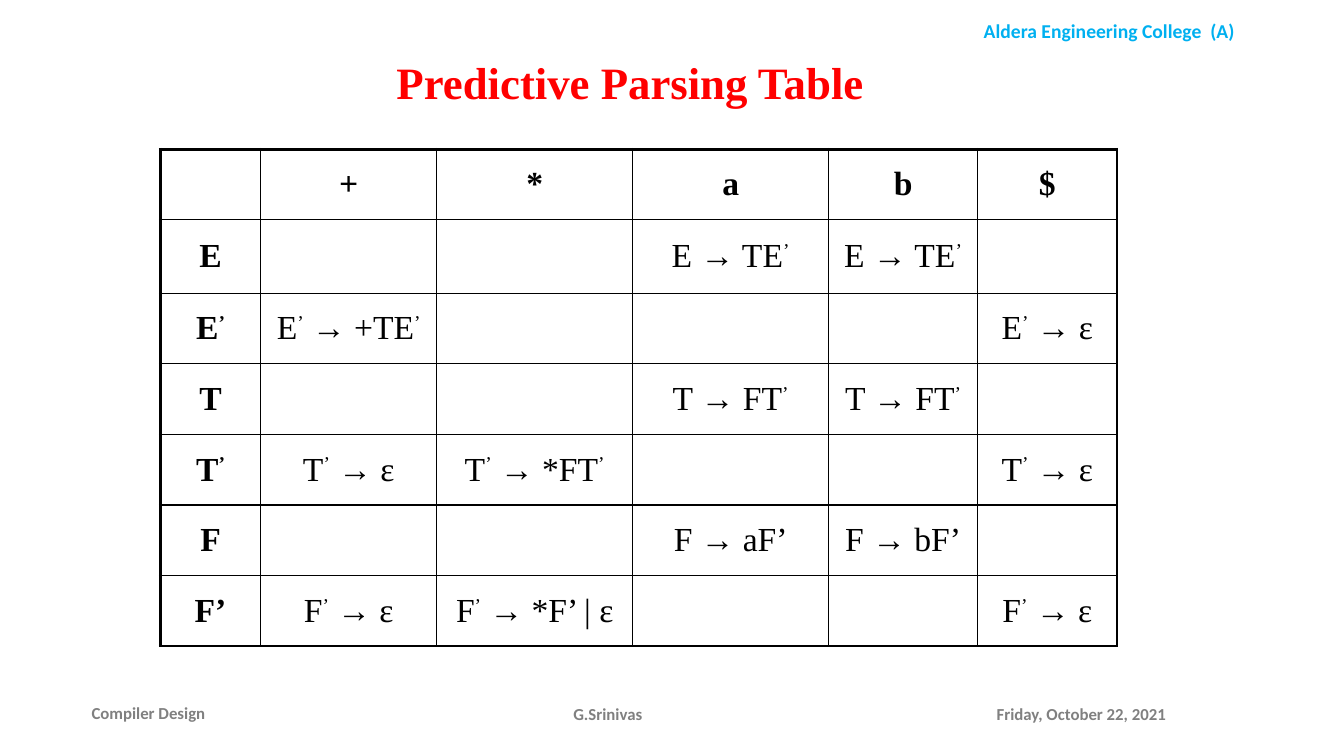
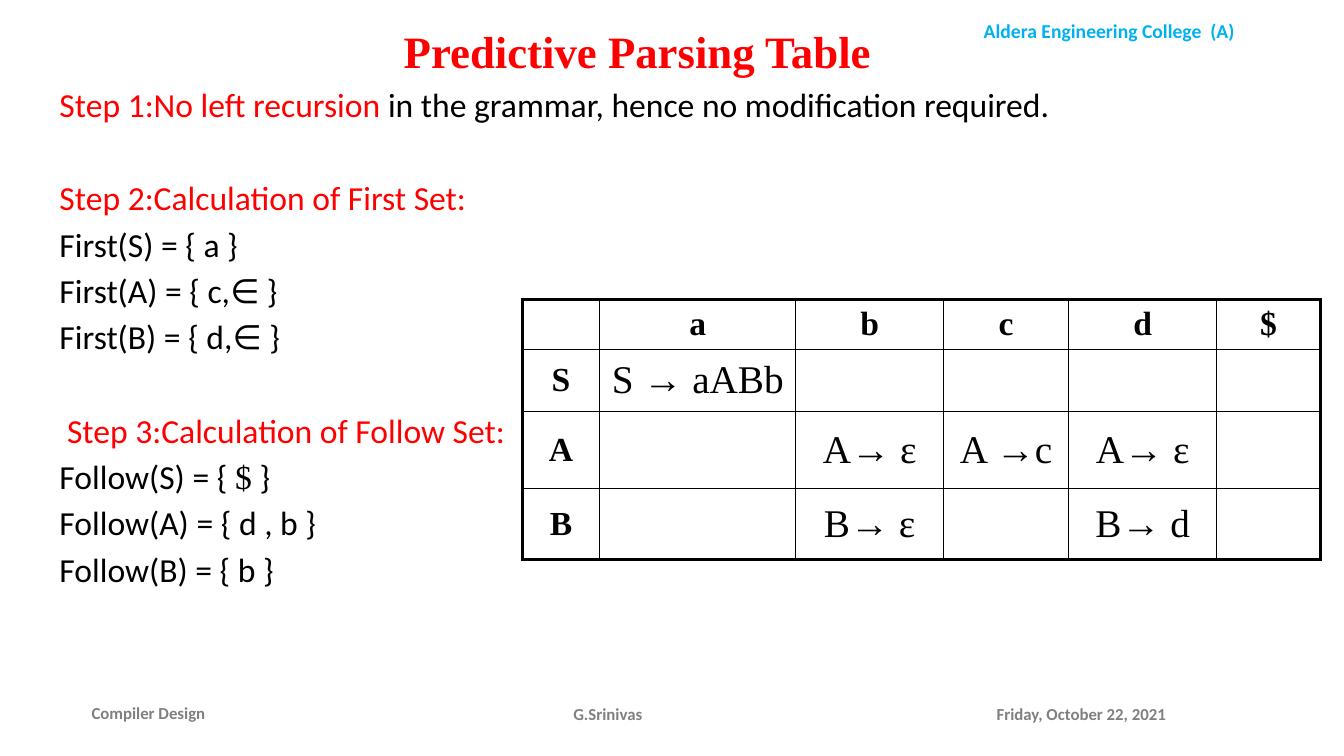
"""Build two slides on predictive parsing tables."""
import dataclasses

import lxml.etree
import pptx
import pptx.dml.color
import pptx.enum.text
import pptx.oxml.ns
import pptx.util

Pt = pptx.util.Pt
Align = pptx.enum.text.PP_ALIGN
Anchor = pptx.enum.text.MSO_ANCHOR


@dataclasses.dataclass(frozen=True)
class Font:
    face: str
    size: float
    color: str
    bold: bool = False
    base: int = 0


@dataclasses.dataclass(frozen=True)
class Theme:
    title: Font = Font("Times New Roman", 32, "FF0000", True)
    brand: Font = Font("Calibri", 14, "00B0F0", True)
    foot: Font = Font("Calibri", 12, "808080", True)
    body: Font = Font("Calibri", 24, "000000")
    step: Font = Font("Calibri", 24, "FF0000")
    sign: Font = Font("Times New Roman", 24, "000000")
    head: Font = Font("Times New Roman", 24, "000000", True)
    rule: Font = Font("Times New Roman", 24, "000000")
    large: Font = Font("Times New Roman", 28, "000000")
    line: str = "000000"
    thin: float = 1
    thick: float = 2.25
    lead: float = 4.3
    gap: float = 37.9


class Deck:
    def __init__(self, theme):
        self.theme = theme
        self.show = pptx.Presentation()
        self.show.slide_width, self.show.slide_height = Pt(960), Pt(540)
        self.slide = None

    def start(self, layout, title, box):
        self.slide = self.show.slides.add_slide(self.show.slide_layouts[layout])
        shape = self.slide.shapes.title
        self.place(shape, box)
        self.fill(shape.text_frame.paragraphs[0], title, self.theme.title, align=Align.CENTER)
        brand, foot = self.theme.brand, self.theme.foot
        self.label("Aldera Engineering College  (A)", (654.5, 10, 275.8, 24.5), brand, Align.CENTER)
        self.label("Compiler Design", (58.3, 494.6, 152, 28.8), foot, Align.LEFT)
        self.label("G.Srinivas", (326.2, 495.4, 216, 28.8), foot, Align.CENTER)
        self.label("Friday, October 22, 2021", (704.9, 495.4, 196.6, 28.8), foot, Align.LEFT)

    def place(self, shape, box, anchor=Anchor.MIDDLE):
        shape.left, shape.top, shape.width, shape.height = map(Pt, box)
        frame = shape.text_frame
        frame.word_wrap = True
        frame.auto_size = pptx.enum.text.MSO_AUTO_SIZE.NONE
        frame.vertical_anchor = anchor

    def fill(self, para, text, font, mark=None, align=Align.LEFT):
        para.alignment = align
        for turn, piece in enumerate(text.split("^")):
            if piece:
                run = para.add_run()
                run.text = piece
                self.style(run, mark if turn % 2 else font)

    def style(self, run, font):
        run.font.name, run.font.size, run.font.bold = font.face, Pt(font.size), font.bold
        run.font.color.rgb = pptx.dml.color.RGBColor.from_string(font.color)
        if font.base:
            run.font._element.set("baseline", str(font.base))

    def label(self, text, box, font, align):
        shape = self.slide.shapes.add_textbox(*map(Pt, box))
        self.place(shape, box)
        self.fill(shape.text_frame.paragraphs[0], text, font, align=align)

    def steps(self, box, groups):
        shape = self.slide.placeholders[1]
        self.place(shape, box, Anchor.TOP)
        frame = shape.text_frame
        for order, (shift, lines) in enumerate(groups):
            for row, text in enumerate(lines):
                first = order == row == 0
                para = frame.paragraphs[0] if first else frame.add_paragraph()
                mark = self.theme.sign if row else self.theme.step
                self.fill(para, text, self.theme.body, mark)
                para.space_before = Pt(self.theme.gap if order and not row else self.theme.lead)
                props = para._p.get_or_add_pPr()
                props.set("marL", str(Pt(0 if row else shift)))
                props.set("indent", "0")
                lxml.etree.SubElement(props, pptx.oxml.ns.qn("a:buNone"))

    def table(self, spot, widths, heights, rows, font):
        size = sum(widths), sum(heights)
        frame = self.slide.shapes.add_table(len(rows), len(widths), *map(Pt, spot + size))
        grid = frame.table
        grid.first_row = grid.horz_banding = False
        for column, width in zip(grid.columns, widths):
            column.width = Pt(width)
        for row, height in zip(grid.rows, heights):
            row.height = Pt(height)
        for down, texts in enumerate(rows):
            for over, text in enumerate(texts):
                cell = grid.cell(down, over)
                look = font if down and over else self.theme.head
                mark = dataclasses.replace(look, base=30000)
                cell.vertical_anchor = Anchor.MIDDLE
                self.fill(cell.text_frame.paragraphs[0], text, look, mark, Align.CENTER)
                edges = {"L": over == 0, "R": over == len(widths) - 1,
                         "T": down == 0, "B": down == len(rows) - 1}
                self.border(cell, edges)

    def border(self, cell, edges):
        cell.fill.background()
        props = cell._tc.get_or_add_tcPr()
        name = pptx.oxml.ns.qn
        for place, (side, outer) in enumerate(edges.items()):
            line = lxml.etree.Element(name("a:ln" + side))
            line.set("w", str(Pt(self.theme.thick if outer else self.theme.thin)))
            fill = lxml.etree.SubElement(line, name("a:solidFill"))
            lxml.etree.SubElement(fill, name("a:srgbClr")).set("val", self.theme.line)
            props.insert(place, line)


def main():
    theme = Theme()
    deck = Deck(theme)

    deck.start(5, "Predictive Parsing Table", (159, 22.3, 582.5, 72))
    deck.table((114.5, 106.6), (71.8, 125.7, 140, 140, 106.4, 99.6), (50.4, 52.5) + (50.4,) * 5, [
        ("", "+", "*", "a", "b", "$"),
        ("E", "", "", "E → TE^’", "E → TE^’", ""),
        ("E^’", "E^’^ → +TE^’", "", "", "", "E^’^ → ε"),
        ("T", "", "", "T → FT^’", "T → FT^’", ""),
        ("T^’", "T^’^ → ε", "T^’^ → *FT^’", "", "", "T^’^ → ε"),
        ("F", "", "", "F → aF’", "F → bF’", ""),
        ("F’", "F^’^ → ε", "F^’^ → *F’ | ε", "", "", "F^’^ → ε"),
    ], theme.rule)

    deck.start(1, "Predictive Parsing Table", (86.4, 0, 738, 72))
    deck.steps((35.3, 56.2, 753.8, 401.8), [
        (0, ["^Step 1:No left recursion ^in the grammar, hence no modification required."]),
        (0, ["^Step 2:Calculation of First Set:",
             "First(S) = { a }", "First(A) = { c,∈ }", "First(B) = { d,∈ }"]),
        (5.4, ["^Step 3:Calculation of Follow Set:",
               "Follow(S) = { ^$^ }", "Follow(A) = { d , b }", "Follow(B) = { b }"]),
    ])
    deck.table((373, 213.8), (55.4, 140, 105.7, 89.3, 105.7, 74.3), (36, 43.9, 55.4, 50.4), [
        ("", "a", "b", "c", "d", "$"),
        ("S", "S → aABb", "", "", "", ""),
        ("A", "", "A→ ε", "A →c", "A→ ε", ""),
        ("B", "", "B→ ε", "", "B→ d", ""),
    ], theme.large)

    deck.show.save("out.pptx")


if __name__ == "__main__":
    main()
